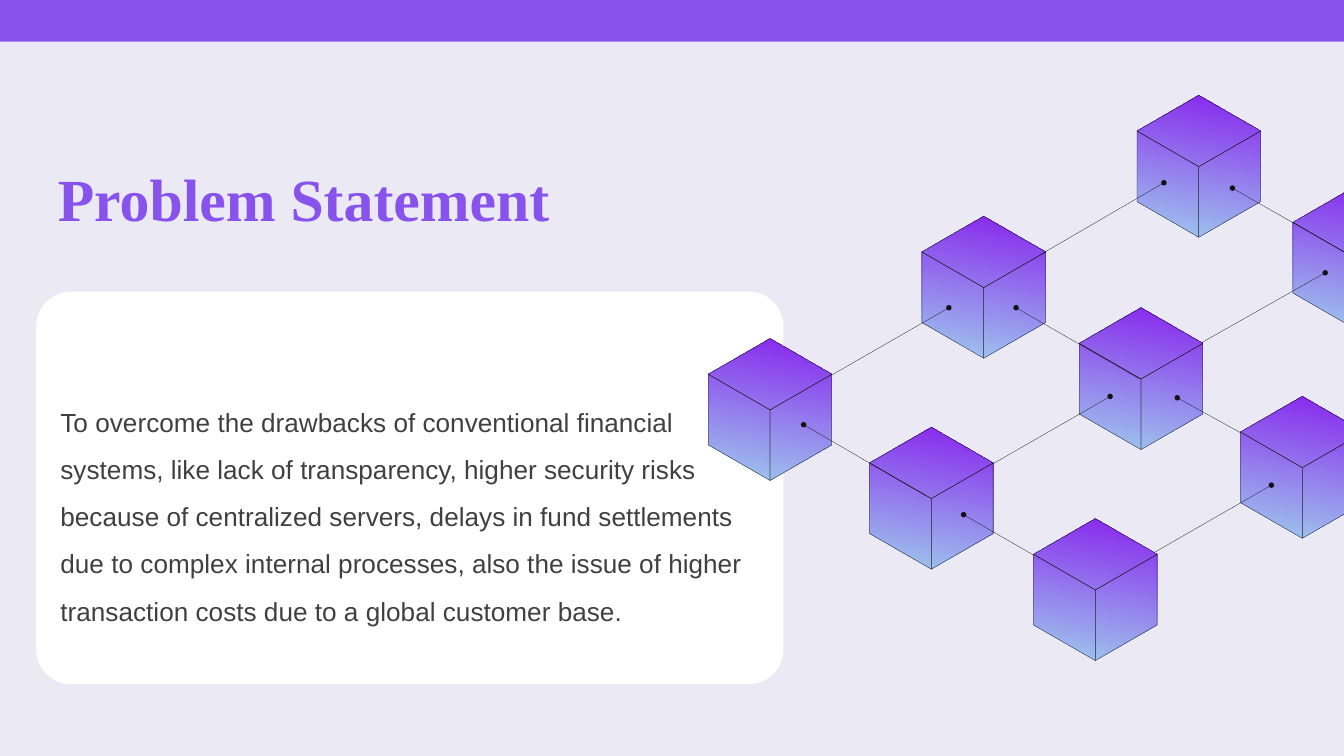
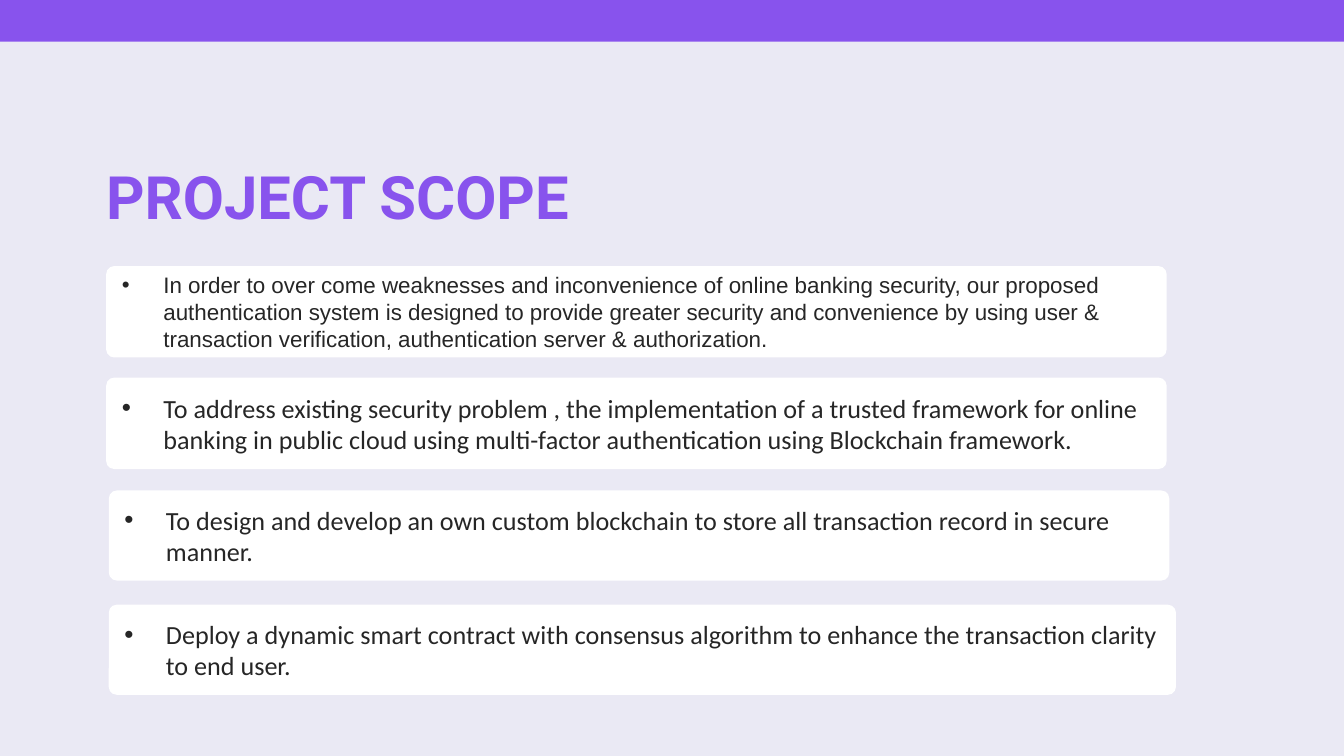
"""Build two slides on a blockchain payment project: problem statement and scope."""
from lxml import etree
from pptx import Presentation, util as u
from pptx.dml.color import RGBColor
from pptx.enum import shapes, text
from pptx.oxml import ns

COLORS = {
    "page": "EAE9F4", "accent": "8853ED", "card": "FFFFFF", "ink": "131115",
    "body": "404040", "item": "262626", "cube_low": "9ECAED", "cube_high": "8823ED",
}
WIDTH, HEIGHT = 10, 5.625
CUBE_HALF, CUBE_EDGE, CUBE_RISE = 0.46, 0.525, 0.265
DOT = 0.04
HAIRLINE = 0.13
CUBES = [
    (5.27, 2.52), (6.47, 3.18), (7.69, 3.86), (8.03, 2.29),
    (6.86, 1.61), (9.23, 2.95), (9.62, 1.39), (8.46, 0.71),
]
LINKS = [
    ((9.46, 3.61), (8.59, 4.11)), ((9.86, 2.03), (8.94, 2.55)),
    ((8.26, 2.95), (7.39, 3.45)), ((5.98, 3.16), (6.89, 3.69)),
    ((7.17, 3.83), (7.69, 4.13)), ((7.56, 2.29), (8.48, 2.82)),
    ((8.76, 2.96), (9.23, 3.22)), ((9.17, 1.4), (10.08, 1.92)),
    ((8.66, 1.36), (7.75, 1.89)), ((7.06, 2.29), (6.19, 2.79)),
]
PROBLEM = (
    "To overcome the drawbacks of conventional financial systems, like lack of "
    "transparency, higher security risks because of centralized servers, delays in "
    "fund settlements due to complex internal processes, also the issue of higher "
    "transaction costs due to a global customer base."
)
SCOPE = [
    ((0.79, 1.98, 7.89, 0.68), "Arial", 12,
     "In order to over come weaknesses and inconvenience of online banking security, "
     "our proposed authentication system is designed to provide greater security and "
     "convenience by using user & transaction verification, authentication server & "
     "authorization."),
    ((0.79, 2.81, 7.89, 0.68), "Calibri", 14,
     "To address existing security problem , the implementation of a trusted framework "
     "for online banking in public cloud using multi-factor authentication using "
     "Blockchain framework."),
    ((0.81, 3.65, 7.89, 0.67), "Calibri", 14,
     "To design and develop an own custom blockchain to store all transaction record "
     "in secure manner."),
    ((0.81, 4.5, 7.94, 0.67), "Calibri", 14,
     "Deploy a dynamic smart contract with consensus algorithm to enhance the "
     "transaction clarity to end user."),
]


def rgb(name):
    return RGBColor.from_string(COLORS[name])


def inches(values):
    return [u.Inches(v) for v in values]


def write(sp, content, *, font, size, color, bold=False, anchor="BOTTOM",
          insets=(0, 0, 0, 0), spacing=None, bullet=False):
    tf = sp.text_frame
    tf.word_wrap = True
    tf.vertical_anchor = text.MSO_ANCHOR[anchor]
    tf.margin_left, tf.margin_top, tf.margin_right, tf.margin_bottom = inches(insets)
    p = tf.paragraphs[0]
    p.alignment = text.PP_ALIGN.LEFT
    if spacing:
        p.line_spacing = spacing
    if bullet:
        pPr = p._p.get_or_add_pPr()
        pPr.set("marL", str(u.Inches(0.31)))
        pPr.set("indent", str(-u.Inches(0.31)))
        etree.SubElement(pPr, ns.qn("a:buFont")).set("typeface", "Arial")
        etree.SubElement(pPr, ns.qn("a:buChar")).set("char", "•")
    r = p.add_run()
    r.text = content
    r.font.name, r.font.size, r.font.bold = font, u.Pt(size), bold
    r.font.color.rgb = rgb(color)


class Deck:
    def __init__(self):
        self.prs = Presentation()
        self.prs.slide_width, self.prs.slide_height = inches((WIDTH, HEIGHT))
        self.s = None

    def slide(self):
        self.s = self.prs.slides.add_slide(self.prs.slide_layouts[6])
        fill = self.s.background.fill
        fill.solid()
        fill.fore_color.rgb = rgb("page")
        self.shape("RECTANGLE", (0, 0, WIDTH, 0.31), "accent")

    def shape(self, kind, box, color):
        sp = self.s.shapes.add_shape(shapes.MSO_SHAPE[kind], *inches(box))
        sp.shadow.inherit = False
        sp.fill.solid()
        sp.fill.fore_color.rgb = rgb(color)
        sp.line.fill.background()
        return sp

    def card(self, box):
        sp = self.shape("ROUNDED_RECTANGLE", box, "card")
        sp.adjustments[0] = 0.088
        return sp

    def text(self, box, content, **fmt):
        write(self.s.shapes.add_textbox(*inches(box)), content, **fmt)

    def title(self, box, content, font):
        self.text(box, content, font=font, size=32, color="accent", bold=True)

    def polygon(self, points):
        points = [inches(pt) for pt in points]
        builder = self.s.shapes.build_freeform(*points[0])
        builder.add_line_segments(points[1:], close=True)
        sp = builder.convert_to_shape()
        sp.shadow.inherit = False
        return sp

    def cube(self, left, top):
        mid, right = left + CUBE_HALF, left + 2 * CUBE_HALF
        shoulder, centre = top + CUBE_RISE, top + 2 * CUBE_RISE
        foot, bottom = shoulder + CUBE_EDGE, centre + CUBE_EDGE
        peak, front, base = (mid, top), (mid, centre), (mid, bottom)
        west, east = (left, shoulder), (right, shoulder)
        low_west, low_east = (left, foot), (right, foot)

        body = self.polygon([peak, west, low_west, base, low_east, east])
        body.line.fill.background()
        body.fill.gradient()
        body.fill.gradient_angle = 80
        for stop, color in zip(body.fill.gradient_stops, ("cube_low", "cube_high")):
            stop.color.rgb = rgb(color)
        faces = [[base, low_west, west, front], [east, front, west, peak]]
        if mid < WIDTH:
            faces.append([base, low_east, east, front])
        for face in faces:
            sp = self.polygon(face)
            sp.fill.background()
            self.hairline(sp)

    def hairline(self, sp):
        sp.line.color.rgb = rgb("ink")
        sp.line.width = u.Pt(HAIRLINE)

    def link(self, dot, end):
        c = self.s.shapes.add_connector(
            shapes.MSO_CONNECTOR.STRAIGHT, *inches(dot), *inches(end))
        self.hairline(c)
        etree.SubElement(c._element.spPr, ns.qn("a:effectLst"))
        x, y = dot
        self.shape("OVAL", (x - DOT / 2, y - DOT / 2, DOT, DOT), "ink")


def main():
    deck = Deck()

    deck.slide()
    deck.card((0.27, 2.17, 5.56, 2.92))
    deck.text((0.45, 2.01, 5.14, 3.12), PROBLEM, font="Arial", size=14, color="body",
              spacing=1.5, insets=(0, 0, 0, 0.47))
    for left, top in CUBES:
        deck.cube(left, top)
    for dot, end in LINKS:
        deck.link(dot, end)
    deck.title((0.43, 0.84, 5.88, 0.9), "Problem Statement", "Times New Roman")

    deck.slide()
    deck.title((0.79, 0.56, 4.87, 1.16), "PROJECT SCOPE", "Roboto")
    for box, font, size, content in SCOPE:
        write(deck.card(box), content, font=font, size=size, color="item",
              anchor="MIDDLE", insets=(0.1, 0.05, 0.1, 0.05), bullet=True)

    deck.prs.save("out.pptx")


if __name__ == "__main__":
    main()
